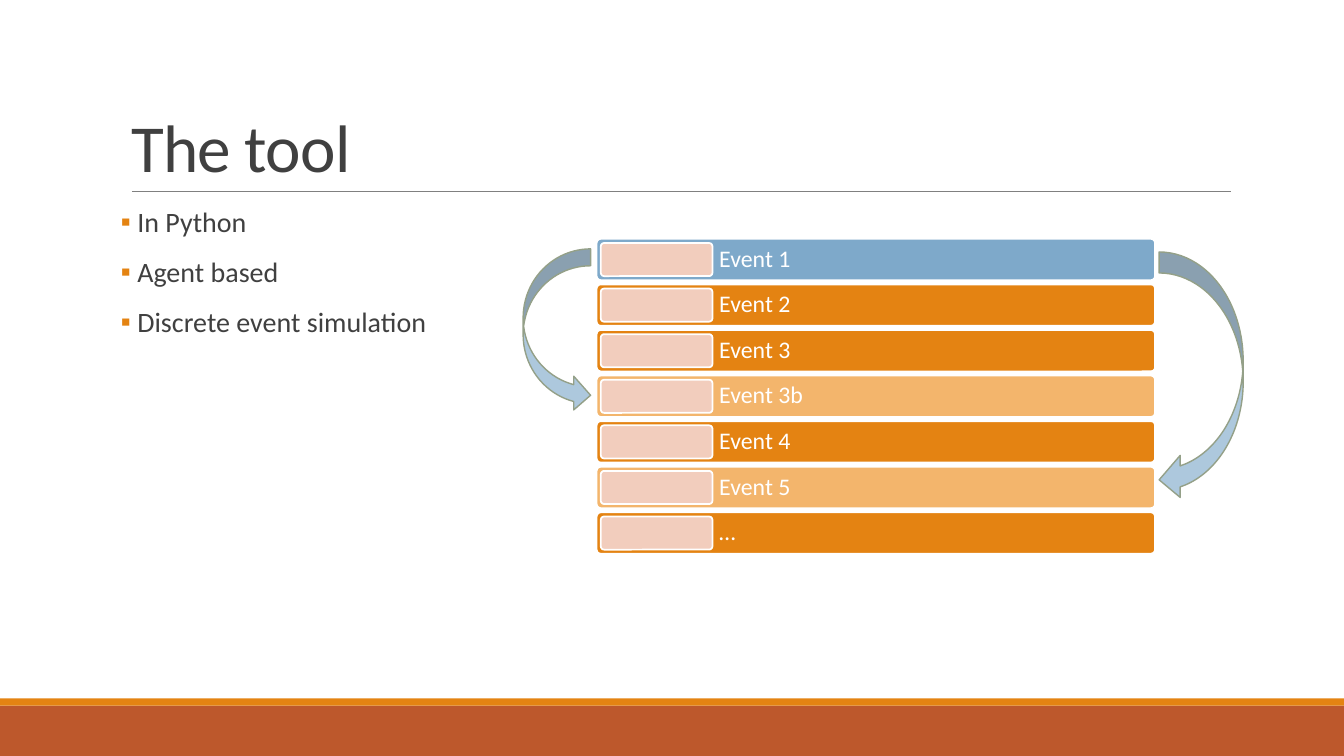
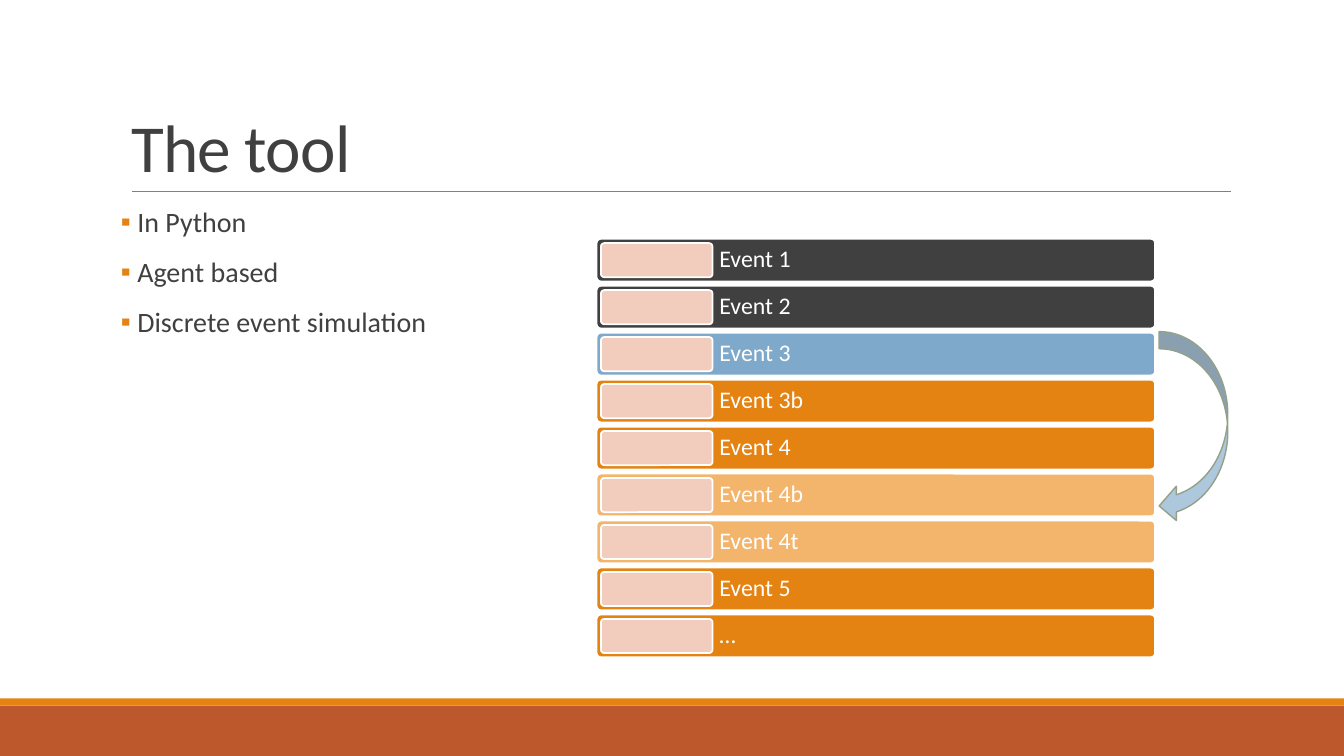
from lxml.etree import SubElement
from pptx import Presentation
from pptx.dml.color import RGBColor
from pptx.enum.shapes import MSO_CONNECTOR, MSO_SHAPE
from pptx.enum.text import MSO_ANCHOR, MSO_AUTO_SIZE, PP_ALIGN
from pptx.oxml.ns import qn
from pptx.util import Pt

WHITE = RGBColor(0xFF, 0xFF, 0xFF)
DARK = RGBColor(0x40, 0x40, 0x40)
GREY = RGBColor(0x80, 0x80, 0x80)
RUST = RGBColor(0xBD, 0x58, 0x2C)
ORANGE = RGBColor(0xE4, 0x83, 0x12)
LIGHT_ORANGE = RGBColor(0xF3, 0xB5, 0x6C)
BLUE = RGBColor(0x7E, 0xA9, 0xCA)
PALE_BLUE = RGBColor(0xAD, 0xC8, 0xDD)
PINK = RGBColor(0xF2, 0xCD, 0xBD)
SAGE = RGBColor(0x94, 0xA0, 0x88)

FONT = "Calibri"
SLIDE_WIDTH, SLIDE_HEIGHT = 960, 540
BAR_LEFT, BAR_TOP, BAR_WIDTH = 426.2, 170.6, 398.9
ARROW_LEFT = 828

TOPICS = ["In Python", "Agent based", "Discrete event simulation"]
FIRST_QUEUE = [
    ("Event 1", BLUE),
    ("Event 2", ORANGE),
    ("Event 3", ORANGE),
    ("Event 3b", LIGHT_ORANGE),
    ("Event 4", ORANGE),
    ("Event 5", LIGHT_ORANGE),
    ("…", ORANGE),
]
LATER_QUEUE = [
    ("Event 1", DARK),
    ("Event 2", DARK),
    ("Event 3", BLUE),
    ("Event 3b", ORANGE),
    ("Event 4", ORANGE),
    ("Event 4b", LIGHT_ORANGE),
    ("Event 4t", LIGHT_ORANGE),
    ("Event 5", ORANGE),
    ("…", ORANGE),
]


class Deck:
    def __init__(self):
        self.presentation = Presentation()
        self.presentation.slide_width = Pt(SLIDE_WIDTH)
        self.presentation.slide_height = Pt(SLIDE_HEIGHT)
        self.slide = None

    def add_slide(self, title):
        layout = self.presentation.slide_layouts[5]
        self.slide = self.presentation.slides.add_slide(layout)
        self.shape(MSO_SHAPE.RECTANGLE, 0, 504, SLIDE_WIDTH, 36, RUST)
        self.shape(MSO_SHAPE.RECTANGLE, 0, 498.8, SLIDE_WIDTH, 5.2, ORANGE)
        self.rule(94.2, 879.2, 136.8)
        self.title(title)

    def style(self, paragraph, size, color, line_spacing):
        paragraph.alignment = PP_ALIGN.LEFT
        paragraph.line_spacing = line_spacing
        paragraph.font.name = FONT
        paragraph.font.size = Pt(size)
        paragraph.font.color.rgb = color

    def title(self, text):
        title = self.slide.shapes.title
        title.left, title.top = Pt(86.4), Pt(22.3)
        title.width, title.height = Pt(792), Pt(114.5)
        frame = title.text_frame
        frame.text = text
        frame.auto_size = MSO_AUTO_SIZE.NONE
        frame.vertical_anchor = MSO_ANCHOR.BOTTOM
        paragraph = frame.paragraphs[0]
        self.style(paragraph, 48, DARK, 0.85)
        paragraph._p.pPr.find(qn("a:defRPr")).set("spc", "-50")

    def rule(self, start, end, top):
        line = self.slide.shapes.add_connector(
            MSO_CONNECTOR.STRAIGHT, Pt(start), Pt(top), Pt(end), Pt(top))
        line.line.color.rgb = GREY
        line.line.width = Pt(0.5)
        SubElement(line._element.spPr, qn("a:effectLst"))

    def shape(self, kind, left, top, width, height, fill, line=None, line_width=1.25):
        shape = self.slide.shapes.add_shape(
            kind, Pt(left), Pt(top), Pt(width), Pt(height))
        shape.shadow.inherit = False
        shape.fill.solid()
        shape.fill.fore_color.rgb = fill
        if line is None:
            shape.line.fill.background()
        else:
            shape.line.color.rgb = line
            shape.line.width = Pt(line_width)
        return shape

    def bullets(self, items):
        box = self.slide.shapes.add_textbox(Pt(86.4), Pt(145.4), Pt(792), Pt(316.8))
        frame = box.text_frame
        frame.word_wrap = True
        frame.margin_left = frame.margin_right = 0
        for index, item in enumerate(items):
            paragraph = frame.paragraphs[0] if index == 0 else frame.add_paragraph()
            paragraph.text = item
            paragraph.space_before = Pt(12 if index else 0)
            paragraph.space_after = Pt(2)
            properties = paragraph._p.get_or_add_pPr()
            properties.set("marL", str(Pt(11.7)))
            properties.set("indent", str(-Pt(11.7)))
            color = SubElement(properties, qn("a:buClr"))
            SubElement(color, qn("a:srgbClr"), val=str(ORANGE))
            SubElement(properties, qn("a:buFont"), typeface=FONT)
            SubElement(properties, qn("a:buChar"), char="▪")
            self.style(paragraph, 20, DARK, 0.9)

    def rounded(self, left, top, width, height, fill):
        shape = self.shape(
            MSO_SHAPE.ROUNDED_RECTANGLE, left, top, width, height, fill, WHITE)
        shape.adjustments[0] = 0.1
        return shape

    def event_queue(self, events, height):
        margin = height / 10
        chip_width = BAR_WIDTH / 5
        for index, (label, fill) in enumerate(events):
            top = BAR_TOP + index * (height + margin)
            bar = self.rounded(BAR_LEFT, top, BAR_WIDTH, height, fill)
            frame = bar.text_frame
            frame.text = label
            frame.word_wrap = True
            frame.vertical_anchor = MSO_ANCHOR.MIDDLE
            frame.margin_left = Pt(margin + chip_width + 4)
            frame.margin_top = frame.margin_bottom = 0
            self.style(frame.paragraphs[0], 17, WHITE, 0.9)
            self.rounded(BAR_LEFT + margin, top + margin,
                         chip_width, height - 2 * margin, PINK)

    def curved_arrow(self, left, top, width, height, mirrored=False):
        arrow = self.shape(MSO_SHAPE.CURVED_RIGHT_ARROW,
                           left, top, width, height, PALE_BLUE, SAGE, 1)
        if mirrored:
            arrow._element.spPr.find(qn("a:xfrm")).set("flipH", "1")

    def save(self):
        self.presentation.save("out.pptx")


def main():
    deck = Deck()

    deck.add_slide("The tool")
    deck.bullets(TOPICS)
    deck.event_queue(FIRST_QUEUE, 29.6)
    deck.curved_arrow(373.7, 177.8, 48.2, 116.6)
    deck.curved_arrow(ARROW_LEFT, 180, 60, 177.8, mirrored=True)

    deck.add_slide("The tool")
    deck.bullets(TOPICS)
    deck.event_queue(LATER_QUEUE, 30.5)
    deck.curved_arrow(ARROW_LEFT, 236.9, 49, 136.8, mirrored=True)

    deck.save()


if __name__ == "__main__":
    main()
